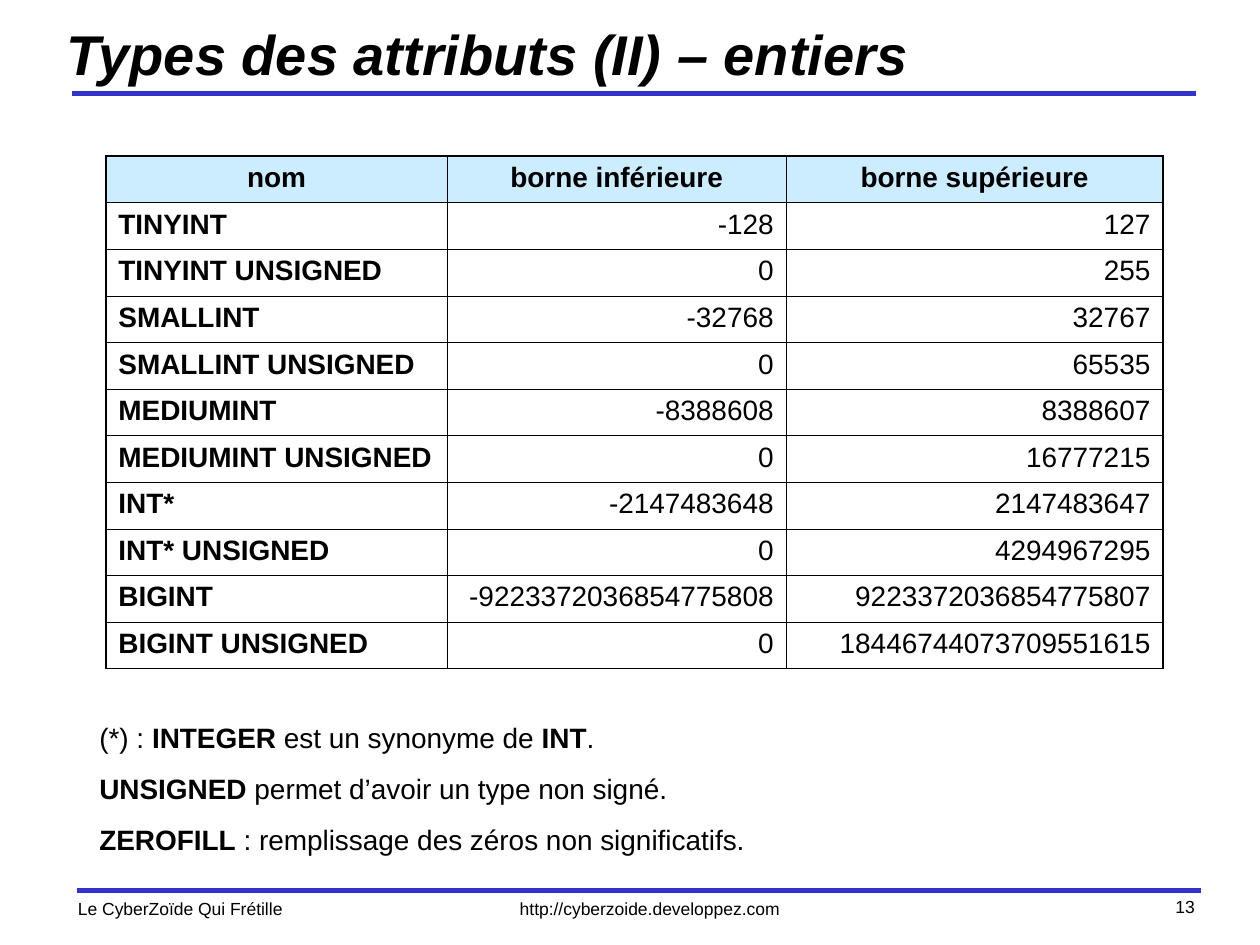
from dataclasses import dataclass

from lxml import etree
from pptx import Presentation
from pptx import util as u
from pptx.dml.color import RGBColor
from pptx.enum import shapes, text
from pptx.oxml import ns


@dataclass(frozen=True)
class Theme:
    font: str = "Arial"
    ink: str = "000000"
    rule: str = "3333CC"
    header: str = "CCECFF"
    title_size: int = 32
    body_size: int = 16
    footer_size: int = 10
    rule_width: float = 3
    outer_border: float = 1.08
    inner_border: float = 0.45


THEME = Theme()
LEFT, CENTER, RIGHT = text.PP_ALIGN.LEFT, text.PP_ALIGN.CENTER, text.PP_ALIGN.RIGHT

HEADERS = ("nom", "borne inférieure", "borne supérieure")
INTEGER_TYPES = (
    ("TINYINT", "-128", "127"),
    ("TINYINT UNSIGNED", "0", "255"),
    ("SMALLINT", "-32768", "32767"),
    ("SMALLINT UNSIGNED", "0", "65535"),
    ("MEDIUMINT", "-8388608", "8388607"),
    ("MEDIUMINT UNSIGNED", "0", "16777215"),
    ("INT*", "-2147483648", "2147483647"),
    ("INT* UNSIGNED", "0", "4294967295"),
    ("BIGINT", "-9223372036854775808", "9223372036854775807"),
    ("BIGINT UNSIGNED", "0", "18446744073709551615"),
)
COLUMN_WIDTHS = (2.71, 2.69, 2.99)
ROW_HEIGHT = 0.37

# Each note is a list of (text, bold) runs.
NOTES = (
    [("(*) : ", False), ("INTEGER", True), (" est un synonyme de ", False),
     ("INT", True), (".", False)],
    [("UNSIGNED", True), (" permet d’avoir un type non signé.", False)],
    [("ZEROFILL", True), (" : remplissage des zéros non significatifs.", False)],
)


def add_run(p, words, size, bold=False, italic=False):
    r = p.add_run()
    r.text = words
    r.font.name = THEME.font
    r.font.size = u.Pt(size)
    r.font.bold = bold
    r.font.italic = italic
    r.font.color.rgb = RGBColor.from_string(THEME.ink)


def add_text_box(s, left, top, width, height, anchor=text.MSO_ANCHOR.TOP):
    sp = s.shapes.add_textbox(*map(u.Inches, (left, top, width, height)))
    tf = sp.text_frame
    tf.word_wrap = True
    tf.vertical_anchor = anchor
    return tf


def add_line_of_text(s, box, words, size, align=LEFT, **style):
    tf = add_text_box(s, *box)
    p = tf.paragraphs[0]
    p.alignment = align
    add_run(p, words, size, **style)


def add_title(s, words):
    box = (0.43, 0.09, 8.96, 0.67, text.MSO_ANCHOR.MIDDLE)
    add_line_of_text(s, box, words, THEME.title_size, bold=True, italic=True)


def add_rule(s, left, y, length=8.92):
    ln = s.shapes.add_connector(shapes.MSO_CONNECTOR.STRAIGHT,
                                *map(u.Inches, (left, y, left + length, y)))
    ln.line.color.rgb = RGBColor.from_string(THEME.rule)
    ln.line.width = u.Pt(THEME.rule_width)
    etree.SubElement(ln._element.spPr, ns.qn("a:effectLst"))


def set_borders(cell, outer_sides):
    """Draw all four sides, thicker on those at the edge of the table."""
    tc_pr = cell._tc.get_or_add_tcPr()
    for side in "LRTB":
        width = THEME.outer_border if side in outer_sides else THEME.inner_border
        ln = etree.SubElement(tc_pr, ns.qn(f"a:ln{side}"), w=str(u.Pt(width)))
        fill = etree.SubElement(ln, ns.qn("a:solidFill"))
        etree.SubElement(fill, ns.qn("a:srgbClr"), val=THEME.ink)


def fill_cell(cell, words, align, bold, is_header):
    cell.margin_left = cell.margin_right = u.Inches(0.1)
    cell.margin_top = cell.margin_bottom = u.Inches(0.05)
    p = cell.text_frame.paragraphs[0]
    p.alignment = align
    add_run(p, words, THEME.body_size, bold)
    if is_header:
        cell.fill.solid()
        cell.fill.fore_color.rgb = RGBColor.from_string(THEME.header)
    else:
        cell.fill.background()


def add_types_table(s, left, top):
    rows = (HEADERS, *INTEGER_TYPES)
    last_row, last_col = len(rows) - 1, len(HEADERS) - 1
    size = (sum(COLUMN_WIDTHS), ROW_HEIGHT * len(rows))
    table = s.shapes.add_table(len(rows), len(HEADERS),
                               *map(u.Inches, (left, top, *size))).table
    table.horz_banding = False
    for column, width in zip(table.columns, COLUMN_WIDTHS):
        column.width = u.Inches(width)
    for i, row in enumerate(rows):
        table.rows[i].height = u.Inches(ROW_HEIGHT)
        for j, words in enumerate(row):
            edges = {"T": i == 0, "B": i == last_row, "L": j == 0, "R": j == last_col}
            set_borders(table.cell(i, j), [side for side in edges if edges[side]])
            align = CENTER if i == 0 else LEFT if j == 0 else RIGHT
            fill_cell(table.cell(i, j), words, align, i == 0 or j == 0, i == 0)


def add_notes(s):
    tf = add_text_box(s, 0.69, 5.67, 8.44, 1.18)
    for i, runs in enumerate(NOTES):
        p = tf.add_paragraph() if i else tf.paragraphs[0]
        if i:
            p.space_before = u.Pt(10)
        for words, bold in runs:
            add_run(p, words, THEME.body_size, bold)


def add_footer(s):
    for box, words, align in (
        ((3.65, 7.08, 3.01, 0.27), "http://cyberzoide.developpez.com", CENTER),
        ((0.52, 7.08, 3.01, 0.27), "Le CyberZoïde Qui Frétille", LEFT),
        ((7.5, 7.06, 2.08, 0.33), "13", RIGHT),
    ):
        add_line_of_text(s, box, words, THEME.footer_size, align)


def main():
    prs = Presentation()
    prs.slide_width, prs.slide_height = u.Inches(10), u.Inches(7.5)
    s = prs.slides.add_slide(prs.slide_layouts[6])
    add_rule(s, 0.61, 7.07)
    add_rule(s, 0.57, 0.74)
    add_title(s, "Types des attributs (II) – entiers")
    add_types_table(s, 0.84, 1.24)
    add_notes(s)
    add_footer(s)
    prs.save("out.pptx")


if __name__ == "__main__":
    main()
